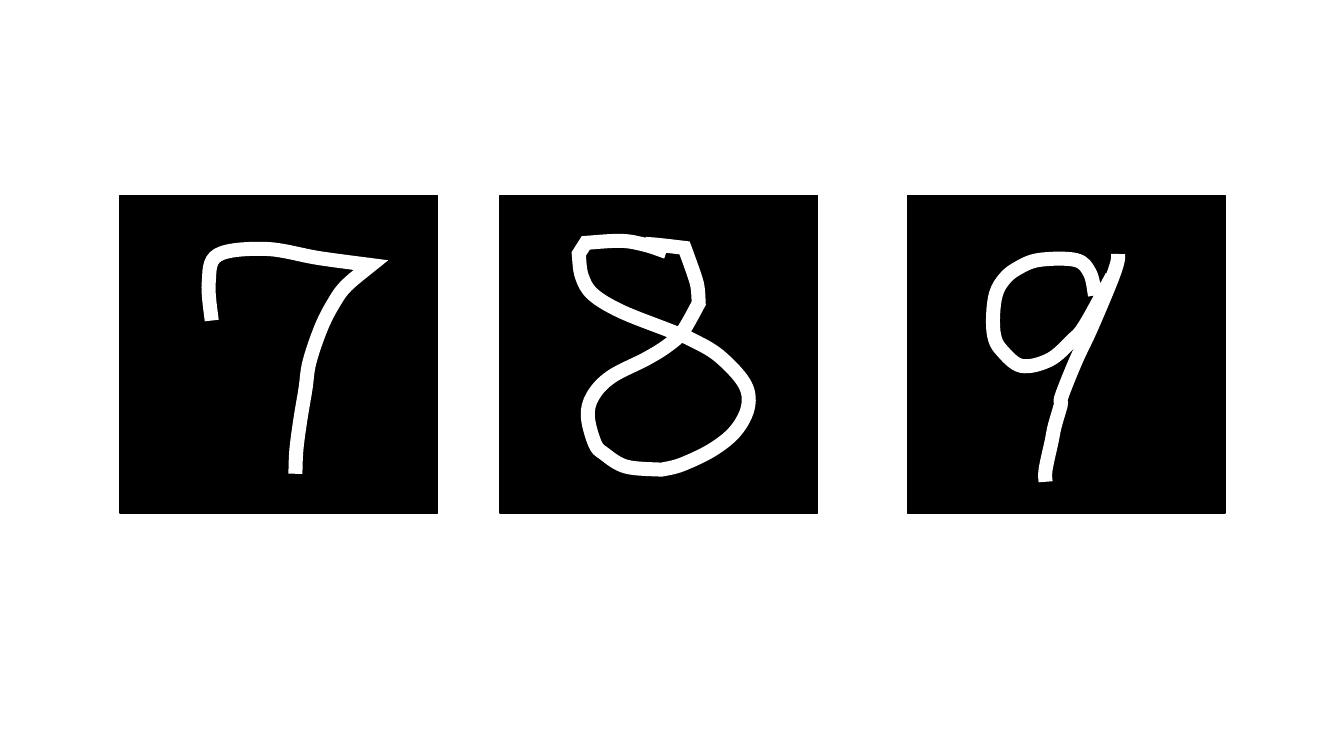
"""Build a slide with the handwritten digits 7, 8 and 9 on black tiles."""
from lxml import etree
from pptx import Presentation
from pptx import util as u
from pptx.dml.color import RGBColor
from pptx.enum import shapes
from pptx.oxml.ns import qn

BLACK = RGBColor(0, 0, 0)
WHITE = RGBColor(255, 255, 255)
PX = u.Inches(0.01)
SLIDE_WIDTH, SLIDE_HEIGHT = 1333, 750
TILE_TOP, TILE_SIDE = 194, 315
TILE_LEFTS = {"seven": 119, "eight": 496, "nine": 900}

STROKES = {
    "seven": {
        "bar": [(91, 124), (88, 87), (97, 59), (145, 53), (197, 62), (249, 69)],
        "stem": [(249, 69), (225, 89), (213, 105), (200, 130), (188, 165),
                 (184, 192), (179, 222), (175, 252), (174, 276)],
    },
    "eight": {
        "top": [(165, 56), (144, 49), (120, 45), (85, 47)],
        "corner": [(85, 47), (78, 58)],
        "diagonal": [(78, 58), (81, 80), (92, 98), (120, 115), (168, 134),
                     (190, 143), (217, 159), (242, 186), (246, 209),
                     (234, 233), (211, 252), (180, 267), (160, 272)],
        "return": [(160, 272), (125, 269), (103, 256), (94, 246), (87, 219),
                   (92, 199), (110, 180), (145, 162), (166, 149), (181, 135),
                   (197, 107)],
        "right side": [(197, 107), (196, 92), (193, 80), (183, 52)],
        "closing": [(183, 52), (157, 49), (144, 48)],
    },
    "nine": {
        "loop": [(186, 99), (181, 77), (167, 64), (130, 64), (108, 73),
                 (96, 83), (88, 97), (85, 118), (86, 139), (93, 153),
                 (113, 169), (141, 163), (163, 144), (176, 129), (203, 80)],
        "stem": [(209, 58), (208, 67), (201, 87), (182, 132), (167, 164),
                 (153, 199), (152, 208), (146, 229), (143, 244), (137, 272),
                 (137, 284)],
    },
}


def smooth(knots):
    """Return three Bezier points per gap of a Catmull-Rom curve."""
    padded = [knots[0], *knots, knots[-1]]
    curve = []
    for before, start, end, after in zip(padded, padded[1:], padded[2:], padded[3:]):
        leave = tuple(s + (e - b) / 6 for b, s, e in zip(before, start, end))
        arrive = tuple(e - (a - s) / 6 for s, e, a in zip(start, end, after))
        curve += [leave, arrive, end]
    return curve


class DigitSlide:
    """Holds the slide and the style of its tiles and pen strokes."""

    tile_line = {"width": u.Pt(1)}
    pen_line = {"width": u.Pt(10)}

    def __init__(self, deck):
        """Add a blank slide."""
        self.slide = deck.slides.add_slide(deck.slide_layouts[6])

    def outline(self, part, colour, style):
        """Set the line of a part and clear its shadow."""
        part.shadow.inherit = False
        part.line.color.rgb = colour
        for name, value in style.items():
            setattr(part.line, name, value)

    def tile(self, left):
        """Add a black square."""
        square = self.slide.shapes.add_shape(
            shapes.MSO_SHAPE.RECTANGLE,
            *(PX * n for n in (left, TILE_TOP, TILE_SIDE, TILE_SIDE)))
        square.fill.solid()
        square.fill.fore_color.rgb = BLACK
        self.outline(square, BLACK, self.tile_line)

    def digit(self, left, strokes):
        """Draw the strokes of a digit, measured from its tile's corner."""
        def place(point):
            return PX * (left + point[0]), PX * (TILE_TOP + point[1])

        pen_at = strokes[0][0]
        pen = self.slide.shapes.build_freeform(*place(pen_at))
        for knots in strokes:
            if knots[0] != pen_at:
                pen.move_to(*place(knots[0]))
            pen.add_line_segments([place(p) for p in smooth(knots)], close=False)
            pen_at = knots[-1]
        figure = pen.convert_to_shape()
        figure.fill.background()
        self.outline(figure, WHITE, self.pen_line)
        self.sharpen(figure)
        self.bend(figure)

    def sharpen(self, figure):
        """Give the line pointed corners."""
        outline = figure.line._get_or_add_ln()
        etree.SubElement(outline, qn("a:miter"), lim="800000")

    def bend(self, figure):
        """Turn each three line segments into one Bezier curve."""
        segments = iter(figure._element.xpath(".//a:lnTo"))
        for trio in zip(segments, segments, segments):
            curve = etree.Element(qn("a:cubicBezTo"))
            trio[0].addprevious(curve)
            for segment in trio:
                curve.append(segment[0])
                segment.getparent().remove(segment)


def main():
    """Draw the tiles, then the digits, and save."""
    deck = Presentation()
    deck.slide_width, deck.slide_height = PX * SLIDE_WIDTH, PX * SLIDE_HEIGHT
    page = DigitSlide(deck)
    for left in TILE_LEFTS.values():
        page.tile(left)
    for name, left in TILE_LEFTS.items():
        page.digit(left, list(STROKES[name].values()))
    deck.save("out.pptx")


if __name__ == "__main__":
    main()
